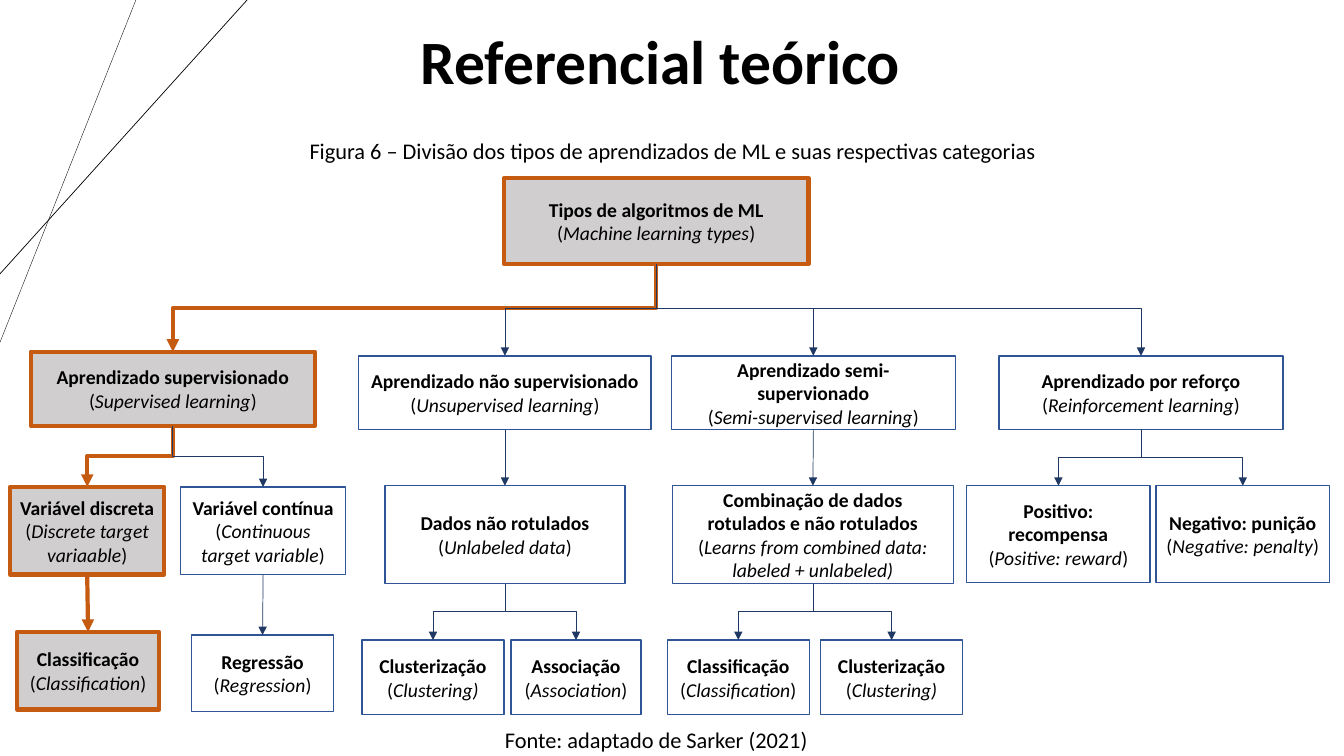
"""Build the slide that shows the tree of machine learning types."""
from dataclasses import dataclass, field

from lxml import etree
from pptx import Presentation
from pptx.dml.color import RGBColor
from pptx.enum import shapes, text
from pptx.oxml import ns
from pptx.util import Pt

BLACK = RGBColor(0x00, 0x00, 0x00)
WHITE = RGBColor(0xFF, 0xFF, 0xFF)
GREY = RGBColor(0xD0, 0xCE, 0xCE)
ORANGE = RGBColor(0xC5, 0x5A, 0x11)
BLUE = RGBColor(0x2F, 0x55, 0x97)
NAVY = RGBColor(0x20, 0x38, 0x64)
FONT = "Calibri"
STRAIGHT_LIMIT = 1.5


@dataclass
class Node:
    """A box of the tree, with its place measured from the tree's corner."""
    title: str
    english: str
    left: float
    top: float
    width: float
    height: float
    highlighted: bool = False
    children: list = field(default_factory=list)

    @property
    def center(self):
        """Return the horizontal centre."""
        return self.left + self.width / 2

    @property
    def bottom(self):
        """Return the lower edge."""
        return self.top + self.height


TREE = Node("Tipos de algoritmos de ML", "Machine learning types", 360, 0, 217.5, 61.2, True, [
    Node("Aprendizado supervisionado", "Supervised learning", 22, 123.9, 203, 52.8, True, [
        Node("Variável discreta", "Discrete target variaable", 7.2, 220.4, 110.2, 62.6, True, [
            Node("Classificação", "Classification", 12.2, 324, 101.5, 55.4, True)]),
        Node("Variável contínua", "Continuous target variable", 128.9, 220.4, 118.1, 62.6, False, [
            Node("Regressão", "Regression", 136.8, 326.2, 101.5, 54.7)])]),
    Node("Aprendizado não supervisionado", "Unsupervised learning", 256.3, 126.8, 208.8, 52.6, False, [
        Node("Dados não rotulados", "Unlabeled data", 275, 219.6, 171.4, 69.8, False, [
            Node("Clusterização", "Clustering)", 258.5, 329.8, 101.5, 53.4),
            Node("Associação", "Association", 365, 329.8, 92.9, 53.4)])]),
    Node("Aprendizado semi-supervionado", "Semi-supervised learning", 479.5, 126.8, 203, 52.6, False, [
        Node("Combinação de dados rotulados e não rotulados",
             "Learns from combined data: labeled + unlabeled)", 480.2, 219.6, 200.9, 69.8, False, [
                 Node("Classificação", "Classification", 476.6, 329.8, 101.5, 53.4),
                 Node("Clusterização", "Clustering)", 586.1, 329.8, 101.5, 53.4)])]),
    Node("Aprendizado por reforço", "Reinforcement learning", 713.5, 126.8, 203, 52.6, False, [
        Node("Positivo: recompensa", "Positive: reward", 690.5, 219.6, 131, 69.1),
        Node("Negativo: punição", "Negative: penalty", 825.8, 219.6, 123.8, 69.1)]),
])


def add_run(paragraph, content, size, bold=False, italic=False):
    """Add a formatted run to a centred paragraph."""
    paragraph.alignment = text.PP_ALIGN.CENTER
    run = paragraph.add_run()
    run.text = content
    run.font.name, run.font.size = FONT, Pt(size)
    run.font.bold, run.font.italic = bold, italic
    run.font.color.rgb = BLACK


def add_caption(slide, box, content, size, bold=False):
    """Place one centred line of text in the box."""
    frame = slide.shapes.add_textbox(*map(Pt, box)).text_frame
    frame.word_wrap = True
    frame.auto_size = text.MSO_AUTO_SIZE.SHAPE_TO_FIT_TEXT
    add_run(frame.paragraphs[0], content, size, bold)


def add_line(slide, kind, start, end, color, width):
    """Draw a connector without shadow between two points."""
    connector = slide.shapes.add_connector(kind, *map(Pt, (*start, *end)))
    connector.line.color.rgb = color
    connector.line.width = Pt(width)
    etree.SubElement(connector._element.spPr, ns.qn("a:effectLst"))
    return connector


def add_corner_lines(slide, box):
    """Draw the two crossing lines in the corner of the box."""
    left, top, width, height = box
    for across, down, thickness in ((0.55, 1, 0.25), (1, 0.8, 0.5)):
        add_line(slide, shapes.MSO_CONNECTOR.STRAIGHT, (left + width * across, top),
                 (left, top + height * down), BLACK, thickness)


def add_branch(slide, start, end, drop, highlighted):
    """Draw an arrow downwards that turns sideways after the given drop."""
    (x1, y1), (x2, y2) = start, end
    color, width = (ORANGE, 3) if highlighted else (NAVY, 0.5)
    if abs(x2 - x1) < STRAIGHT_LIMIT:
        connector = add_line(slide, shapes.MSO_CONNECTOR.STRAIGHT, start, end, color, width)
    else:
        length, span = y2 - y1, abs(x2 - x1)
        left, top = (x1 + x2 - length) / 2, (y1 + y2 - span) / 2
        sides = (left, left + length) if x2 < x1 else (left + length, left)
        connector = add_line(slide, shapes.MSO_CONNECTOR.ELBOW, (sides[0], top),
                             (sides[1], top + span), color, width)
        properties = connector._element.spPr
        degrees = 90 if x2 < x1 else 270
        properties.find(ns.qn("a:xfrm")).set("rot", str(degrees * 60000))
        adjustments = properties.find(ns.qn("a:prstGeom")).find(ns.qn("a:avLst"))
        etree.SubElement(adjustments, ns.qn("a:gd"), name="adj1",
                         fmla=f"val {round(drop / length * 100000)}")
    outline = connector._element.spPr.find(ns.qn("a:ln"))
    etree.SubElement(outline, ns.qn("a:tailEnd"), type="triangle")


def add_nodes(slide, corner, node):
    """Draw the box of a node and those of its descendants."""
    left, top = corner
    shape = slide.shapes.add_shape(
        shapes.MSO_SHAPE.RECTANGLE, Pt(left + node.left), Pt(top + node.top),
        Pt(node.width), Pt(node.height))
    shape.shadow.inherit = False
    shape.fill.solid()
    shape.fill.fore_color.rgb = GREY if node.highlighted else WHITE
    shape.line.color.rgb = ORANGE if node.highlighted else BLUE
    shape.line.width = Pt(3 if node.highlighted else 1)
    frame = shape.text_frame
    frame.word_wrap = True
    frame.vertical_anchor = text.MSO_ANCHOR.MIDDLE
    add_run(frame.paragraphs[0], node.title, 14, bold=True)
    translation = frame.add_paragraph()
    add_run(translation, "(", 14)
    add_run(translation, node.english, 14, italic=True)
    if not node.english.endswith(")"):
        add_run(translation, ")", 14)
    for child in node.children:
        add_nodes(slide, corner, child)


def add_branches(slide, corner, node):
    """Draw the arrows from a node to its children, and so on below."""
    left, top = corner
    drop = min((child.top - node.bottom for child in node.children), default=0) / 2
    for child in node.children:
        add_branch(slide, (left + node.center, top + node.bottom),
                   (left + child.center, top + child.top), drop, child.highlighted)
        add_branches(slide, corner, child)


def add_tree(slide, box):
    """Draw the whole tree from the upper left corner of the box."""
    add_nodes(slide, box[:2], TREE)
    add_branches(slide, box[:2], TREE)


def main():
    """Build the presentation and save it."""
    presentation = Presentation()
    presentation.slide_width, presentation.slide_height = Pt(960), Pt(540)
    slide = presentation.slides.add_slide(presentation.slide_layouts[6])
    add_corner_lines(slide, (0, 0, 176.5, 244.5))
    add_caption(slide, (201, 13, 541.5, 60.5), "Referencial teórico", 44, bold=True)
    add_caption(slide, (137, 94.5, 687, 26.6),
                "Figura 6 – Divisão dos tipos de aprendizados de ML e suas respectivas categorias", 16)
    add_tree(slide, (0, 127.4, 960, 383.2))
    add_caption(slide, (198, 515, 541.5, 26.6), "Fonte: adaptado de Sarker (2021)", 16)
    presentation.save("out.pptx")


if __name__ == "__main__":
    main()
